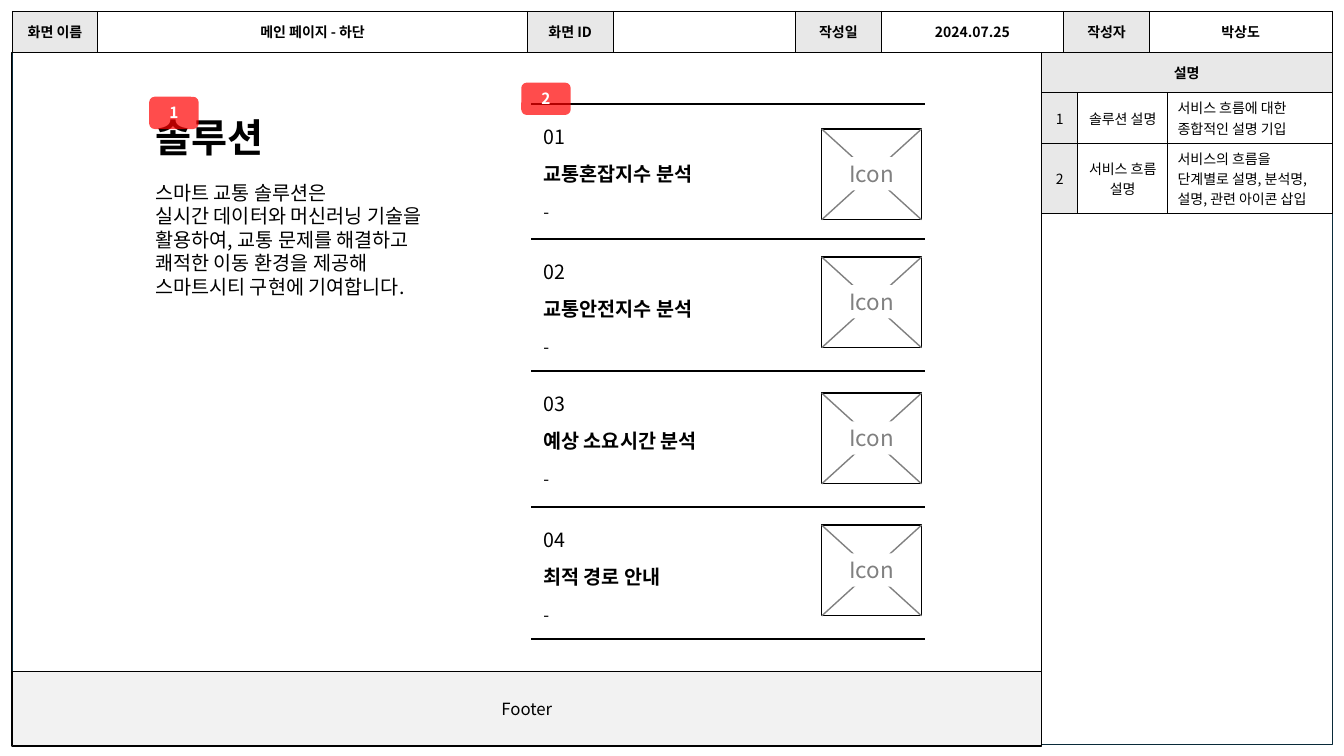
from dataclasses import dataclass
from typing import Optional

from lxml.etree import SubElement
from pptx import Presentation
from pptx.dml.color import RGBColor
from pptx.enum.shapes import MSO_CONNECTOR, MSO_SHAPE
from pptx.enum.text import MSO_ANCHOR, MSO_AUTO_SIZE, PP_ALIGN
from pptx.oxml.ns import qn
from pptx.util import Inches, Pt

FONT = "Noto Sans CJK KR"
BLACK = RGBColor(0x00, 0x00, 0x00)
WHITE = RGBColor(0xFF, 0xFF, 0xFF)
GRAY = RGBColor(0x80, 0x80, 0x80)
RED = RGBColor(0xFF, 0x00, 0x00)
NAVY = RGBColor(0x09, 0x2A, 0x39)
LABEL_FILL = RGBColor(0xE8, 0xE8, 0xE8)
FOOTER_FILL = RGBColor(0xF2, 0xF2, 0xF2)

LIST_LEFT, LIST_RIGHT = 5.27, 9.17
ICON_LEFT, ICON_WIDTH, ICON_HEIGHT = 8.15, 0.99, 0.9


@dataclass
class Service:
    number: str
    name: str
    top: float
    icon_top: float
    name_width: float


@dataclass
class Badge:
    number: str
    left: float
    top: float


@dataclass
class CellText:
    text: str
    label: bool = False
    bold: bool = False
    centered: bool = True


SERVICES = [
    Service("01", "교통혼잡지수 분석", 1.03, 1.28, 1.84),
    Service("02", "교통안전지수 분석", 2.37, 2.55, 1.84),
    Service("03", "예상 소요시간 분석", 3.68, 3.9, 1.91),
    Service("04", "최적 경로 안내", 5.03, 5.21, 1.52),
]
LIST_BOTTOM = 6.34
BADGES = [Badge("1", 1.48, 0.96), Badge("2", 5.17, 0.82)]
SOLUTION_LINES = [
    "스마트 교통 솔루션은",
    "실시간 데이터와 머신러닝 기술을",
    "활용하여, 교통 문제를 해결하고",
    "쾌적한 이동 환경을 제공해",
    "스마트시티 구현에 기여합니다.",
]
HEADER = ["화면 이름", "메인 페이지 - 하단", "화면 ID", "",
          "작성일", "2024.07.25", "작성자", "박상도"]
NOTES = [
    ("1", "솔루션 설명", "서비스 흐름에 대한 종합적인 설명 기입"),
    ("2", "서비스 흐름 설명", "서비스의 흐름을 단계별로 설명, 분석명, 설명, 관련 아이콘 삽입"),
]


def write(paragraph, text: str, size: float, color=BLACK, bold=False, align=PP_ALIGN.LEFT) -> None:
    paragraph.alignment = align
    run = paragraph.add_run()
    run.text = text
    run.font.size = Pt(size)
    run.font.bold = bold
    run.font.color.rgb = color
    run.font.name = FONT
    SubElement(run.font._element, qn("a:ea")).set("typeface", FONT)


def place(shape, left: float, top: float, width: float, height: float) -> None:
    shape.left, shape.top = Inches(left), Inches(top)
    shape.width, shape.height = Inches(width), Inches(height)


def add_box(slide, left: float, top: float, width: float, height: float,
            fill: Optional[RGBColor] = None, line: Optional[RGBColor] = None,
            line_width: float = 1, kind=MSO_SHAPE.RECTANGLE):
    box = slide.shapes.add_shape(kind, Inches(left), Inches(top), Inches(width), Inches(height))
    box.shadow.inherit = False
    if fill is None:
        box.fill.background()
    else:
        box.fill.solid()
        box.fill.fore_color.rgb = fill
    if line is None:
        box.line.fill.background()
    else:
        box.line.color.rgb = line
        box.line.width = Pt(line_width)
    return box


def add_line(slide, left: float, top: float, right: float, bottom: float, color=BLACK) -> None:
    line = slide.shapes.add_connector(
        MSO_CONNECTOR.STRAIGHT, Inches(left), Inches(top), Inches(right), Inches(bottom))
    line.line.color.rgb = color
    line.line.width = Pt(1)
    SubElement(line._element.spPr, qn("a:effectLst"))


def add_label(slide, text: str, top: float, width: float, height: float, size: float,
              bold: bool = False) -> None:
    label = slide.shapes.add_textbox(Inches(5.29), Inches(top), Inches(width), Inches(height))
    label.text_frame.word_wrap = False
    label.text_frame.auto_size = MSO_AUTO_SIZE.SHAPE_TO_FIT_TEXT
    write(label.text_frame.paragraphs[0], text, size, bold=bold)


def add_service(slide, service: Service) -> None:
    add_line(slide, LIST_LEFT, service.top, LIST_RIGHT, service.top)
    add_label(slide, service.number, service.top + 0.16, 0.42, 0.34, 14)
    add_label(slide, service.name, service.top + 0.53, service.name_width, 0.34, 14, bold=True)
    add_label(slide, "-", service.top + 0.92, 0.27, 0.3, 12)


def add_icon(slide, top: float) -> None:
    right, bottom = ICON_LEFT + ICON_WIDTH, top + ICON_HEIGHT
    add_box(slide, ICON_LEFT, top, ICON_WIDTH, ICON_HEIGHT, WHITE, BLACK)
    add_line(slide, ICON_LEFT, bottom, right, top, GRAY)
    add_line(slide, ICON_LEFT, top, right, bottom, GRAY)
    caption = add_box(slide, ICON_LEFT + 0.12, top + 0.28, 0.75, 0.33, WHITE)
    caption.text_frame.vertical_anchor = MSO_ANCHOR.MIDDLE
    write(caption.text_frame.paragraphs[0], "Icon", 16, GRAY, align=PP_ALIGN.CENTER)


def add_badge(slide, badge: Badge) -> None:
    shape = add_box(slide, badge.left, badge.top, 0.49, 0.32, RED, kind=MSO_SHAPE.ROUNDED_RECTANGLE)
    color = shape._element.spPr.find(qn("a:solidFill"))[0]
    SubElement(color, qn("a:alpha")).set("val", "70000")
    shape.text_frame.vertical_anchor = MSO_ANCHOR.TOP
    write(shape.text_frame.paragraphs[0], badge.number, 11, WHITE, True, PP_ALIGN.CENTER)


def format_cell(cell, content: CellText) -> None:
    properties = cell._tc.get_or_add_tcPr()
    for side in ("a:lnL", "a:lnR", "a:lnT", "a:lnB"):
        border = SubElement(properties, qn(side), w=str(Pt(0.5)))
        SubElement(SubElement(border, qn("a:solidFill")), qn("a:srgbClr")).set("val", str(BLACK))
    if content.label:
        cell.fill.solid()
        cell.fill.fore_color.rgb = LABEL_FILL
    else:
        cell.fill.background()
    cell.vertical_anchor = MSO_ANCHOR.MIDDLE
    if content.text:
        align = PP_ALIGN.CENTER if content.centered else PP_ALIGN.LEFT
        write(cell.text_frame.paragraphs[0], content.text, 10, bold=content.bold, align=align)


def add_grid(slide, left: float, top: float, widths: list[float], row_height: float,
             rows: list[list[CellText]]):
    table = slide.shapes.add_table(
        len(rows), len(widths), Inches(left), Inches(top),
        Inches(sum(widths)), Inches(row_height * len(rows))).table
    table.first_row = table.horz_banding = False
    for column, width in zip(table.columns, widths):
        column.width = Inches(width)
    for row, contents in zip(table.rows, rows):
        row.height = Inches(row_height)
        for cell, content in zip(row.cells, contents):
            format_cell(cell, content)
    return table


def fill_solution(slide) -> None:
    title, body = slide.shapes.title, slide.placeholders[1]
    place(title, 1.44, 1.07, 1.38, 0.57)
    title.text_frame.word_wrap = False
    write(title.text_frame.paragraphs[0], "솔루션", 28, bold=True)
    place(body, 1.44, 1.74, 3.26, 1.28)
    for index, line in enumerate(SOLUTION_LINES):
        frame = body.text_frame
        paragraph = frame.add_paragraph() if index else frame.paragraphs[0]
        write(paragraph, line, 14)
        paragraph.space_before = Pt(0)
        properties = paragraph._p.get_or_add_pPr()
        properties.set("marL", "0")
        properties.set("indent", "0")
        SubElement(properties, qn("a:buNone"))
    for shape in (title, body):
        shape.text_frame.vertical_anchor = MSO_ANCHOR.TOP
        shape.text_frame.auto_size = MSO_AUTO_SIZE.NONE


def main() -> None:
    presentation = Presentation()
    presentation.slide_width, presentation.slide_height = Inches(13.33), Inches(7.5)
    slide = presentation.slides.add_slide(presentation.slide_layouts[1])

    add_box(slide, 0.12, 0.52, 10.21, 6.88, line=BLACK)
    add_box(slide, 0.12, 0.11, 13.1, 7.28, line=NAVY, line_width=0.5)
    header = [CellText(text, label=index % 2 == 0, bold=True) for index, text in enumerate(HEADER)]
    add_grid(slide, 0.12, 0.11, [0.85, 4.26] + [0.85, 1.81] * 3, 0.41, [header])
    notes = [[CellText("설명", label=True, bold=True)] + [CellText("", label=True)] * 2]
    notes += [[CellText(number, label=True), CellText(name), CellText(detail, centered=False)]
              for number, name, detail in NOTES]
    table = add_grid(slide, 10.33, 0.52, [0.36, 0.89, 1.63], 0.4, notes)
    table.cell(0, 0).merge(table.cell(0, 2))
    footer = add_box(slide, 0.12, 6.66, 10.21, 0.74, FOOTER_FILL, BLACK, 0.75)
    write(footer.text_frame.paragraphs[0], "Footer", 12, align=PP_ALIGN.CENTER)

    fill_solution(slide)
    for service in SERVICES:
        add_service(slide, service)
    add_line(slide, LIST_LEFT, LIST_BOTTOM, LIST_RIGHT, LIST_BOTTOM)
    for service in SERVICES:
        add_icon(slide, service.icon_top)
    for badge in BADGES:
        add_badge(slide, badge)
    presentation.save("out.pptx")


if __name__ == "__main__":
    main()
